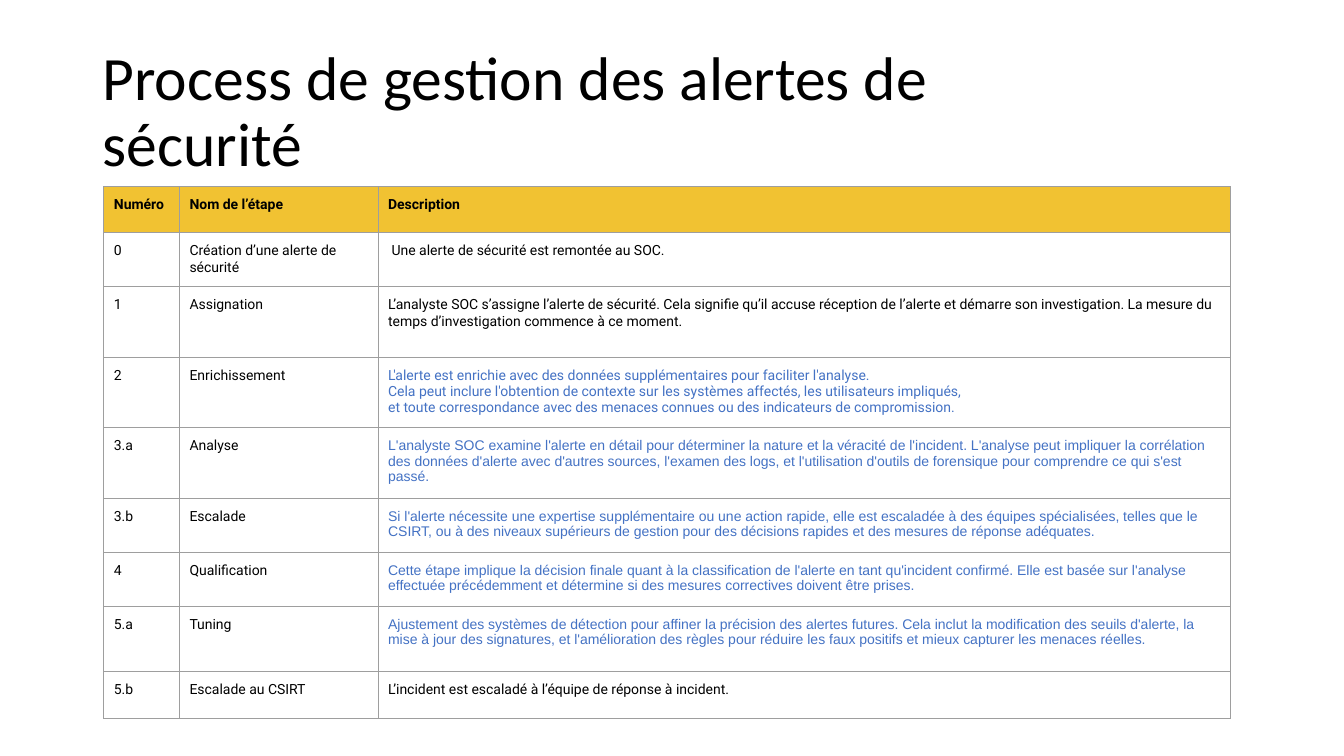
from lxml import etree
from pptx import Presentation
from pptx import util as u
from pptx.dml.color import RGBColor
from pptx.enum import text
from pptx.oxml import ns

BLACK = RGBColor(0x00, 0x00, 0x00)
BLUE = RGBColor(0x44, 0x72, 0xC4)
GOLD = RGBColor(0xF1, 0xC2, 0x32)
GREY = RGBColor(0x9E, 0x9E, 0x9E)

COLUMN_WIDTHS = [0.75, 1.97, 8.45]
ROW_HEIGHTS = [0.46, 0.5, 0.7, 0.51, 0.51, 0.51, 0.46, 0.65, 0.46]
HEADINGS = ["Numéro", "Nom de l’étape", "Description"]

# Each step: number, name, description, description font, description colour
STEPS = [
    ("0", "Création d’une alerte de sécurité",
     " Une alerte de sécurité est remontée au SOC.", "Roboto", BLACK),
    ("1", "Assignation",
     "L’analyste SOC s’assigne l’alerte de sécurité. Cela signifie qu’il accuse "
     "réception de l’alerte et démarre son investigation. La mesure du temps "
     "d’investigation commence à ce moment.", "Roboto", BLACK),
    ("2", "Enrichissement",
     "L'alerte est enrichie avec des données supplémentaires pour faciliter l'analyse.\n"
     "Cela peut inclure l'obtention de contexte sur les systèmes affectés, "
     "les utilisateurs impliqués,\n"
     "et toute correspondance avec des menaces connues ou des indicateurs de "
     "compromission.", "Roboto", BLUE),
    ("3.a", "Analyse",
     "L'analyste SOC examine l'alerte en détail pour déterminer la nature et la "
     "véracité de l'incident. L'analyse peut impliquer la corrélation des données "
     "d'alerte avec d'autres sources, l'examen des logs, et l'utilisation d'outils "
     "de forensique pour comprendre ce qui s'est passé.", "Arial", BLUE),
    ("3.b", "Escalade",
     "Si l'alerte nécessite une expertise supplémentaire ou une action rapide, elle "
     "est escaladée à des équipes spécialisées, telles que le CSIRT, ou à des niveaux "
     "supérieurs de gestion pour des décisions rapides et des mesures de réponse "
     "adéquates.", "Arial", BLUE),
    ("4", "Qualification",
     "Cette étape implique la décision finale quant à la classification de l'alerte "
     "en tant qu'incident confirmé. Elle est basée sur l'analyse effectuée "
     "précédemment et détermine si des mesures correctives doivent être prises.",
     "Arial", BLUE),
    ("5.a", "Tuning",
     "Ajustement des systèmes de détection pour affiner la précision des alertes "
     "futures. Cela inclut la modification des seuils d'alerte, la mise à jour des "
     "signatures, et l'amélioration des règles pour réduire les faux positifs et "
     "mieux capturer les menaces réelles.", "Arial", BLUE),
    ("5.b", "Escalade au CSIRT",
     "L’incident est escaladé à l’équipe de réponse à incident.", "Roboto", BLACK),
]


class AlertSlide:
    cell_margin = u.Inches(0.1)
    cell_size = u.Pt(10)
    border_width = u.Pt(0.75)

    def __init__(self, deck):
        self.slide = deck.slides.add_slide(deck.slide_layouts[6])

    def set_text(self, frame, wording, font, size, color, bold=False):
        frame.text = wording
        for paragraph in frame.paragraphs:
            paragraph.font.name = font
            paragraph.font.size = size
            paragraph.font.bold = bold
            paragraph.font.color.rgb = color

    def title(self, wording, left, top, width, height):
        heading = self.slide.shapes.add_textbox(
            *map(u.Inches, (left, top, width, height)))
        frame = heading.text_frame
        frame.word_wrap = True
        frame.vertical_anchor = text.MSO_ANCHOR.MIDDLE
        self.set_text(frame, wording, "Calibri", u.Pt(44), BLACK)
        frame.paragraphs[0].line_spacing = 0.9

    def border(self, cell):
        properties = cell._tc.get_or_add_tcPr()
        for side in ("a:lnL", "a:lnR", "a:lnT", "a:lnB"):
            line = etree.SubElement(properties, ns.qn(side), w=str(self.border_width))
            fill = etree.SubElement(line, ns.qn("a:solidFill"))
            etree.SubElement(fill, ns.qn("a:srgbClr"), val=str(GREY))

    def cell(self, cell, wording, font="Roboto", color=BLACK, fill=None):
        """Fill one table cell; a cell with a fill is a bold heading."""
        self.border(cell)
        cell.margin_left = cell.margin_right = self.cell_margin
        cell.margin_top = cell.margin_bottom = self.cell_margin
        if fill is None:
            cell.fill.background()
        else:
            cell.fill.solid()
            cell.fill.fore_color.rgb = fill
        self.set_text(cell.text_frame, wording, font, self.cell_size, color,
                      bold=fill is not None)

    def steps_table(self, left, top, width, height):
        holder = self.slide.shapes.add_table(
            len(ROW_HEIGHTS), len(COLUMN_WIDTHS),
            *map(u.Inches, (left, top, width, height)))
        table = holder.table
        table.first_row = table.horz_banding = False
        for column, column_width in zip(table.columns, COLUMN_WIDTHS):
            column.width = u.Inches(column_width)
        for row, row_height in zip(table.rows, ROW_HEIGHTS):
            row.height = u.Inches(row_height)
        holder.height = u.Inches(height)

        for column, heading in enumerate(HEADINGS):
            self.cell(table.cell(0, column), heading, fill=GOLD)
        for row, (number, name, description, font, color) in enumerate(STEPS, 1):
            self.cell(table.cell(row, 0), number)
            self.cell(table.cell(row, 1), name)
            self.cell(table.cell(row, 2), description, font, color)


def main():
    deck = Presentation()
    deck.slide_width, deck.slide_height = u.Inches(13.33), u.Inches(7.5)
    page = AlertSlide(deck)
    page.title("Process de gestion des alertes de sécurité", 0.92, 0.4, 10.3, 1.45)
    page.steps_table(1.03, 1.85, 11.17, 5.27)
    deck.save("out.pptx")


if __name__ == "__main__":
    main()
